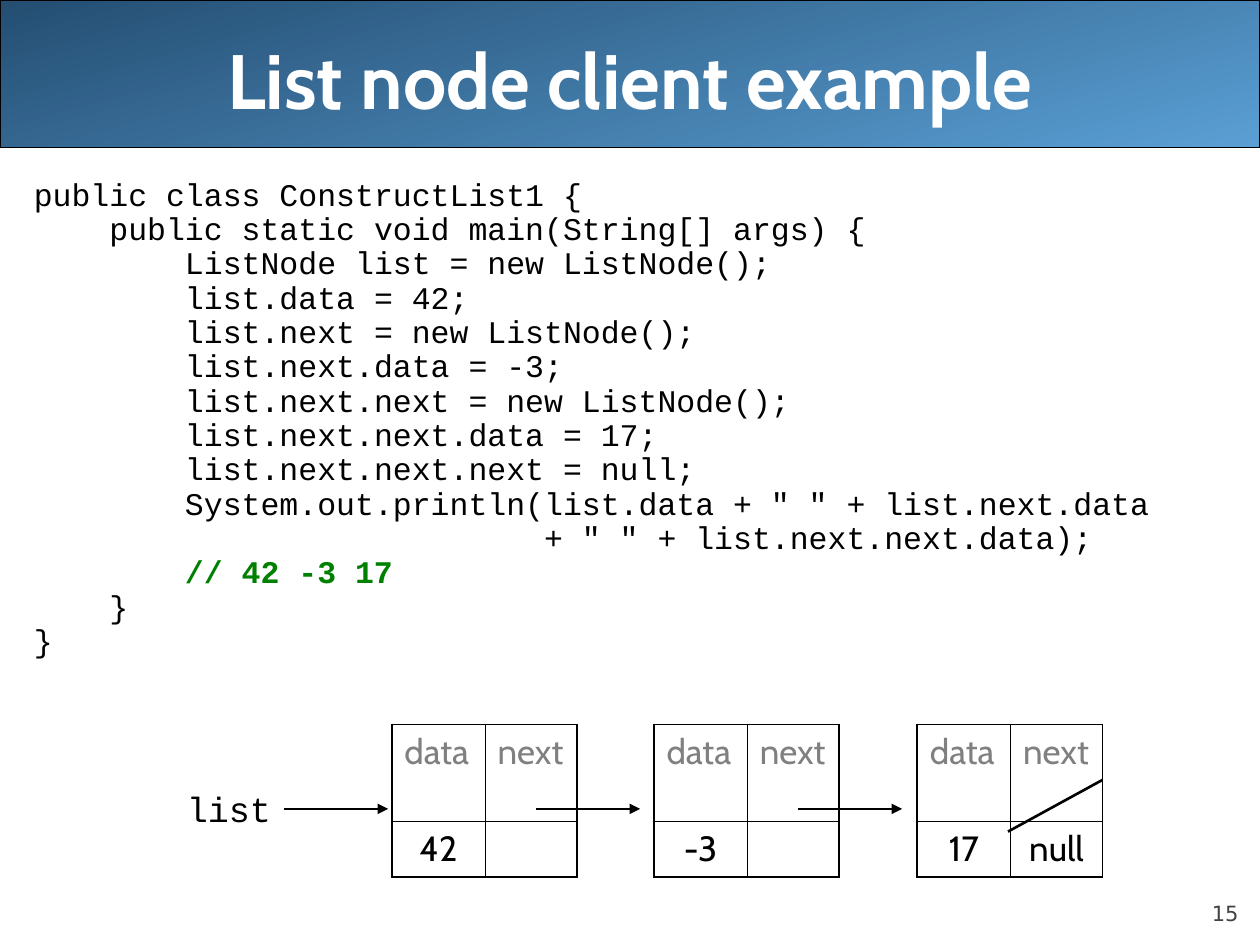
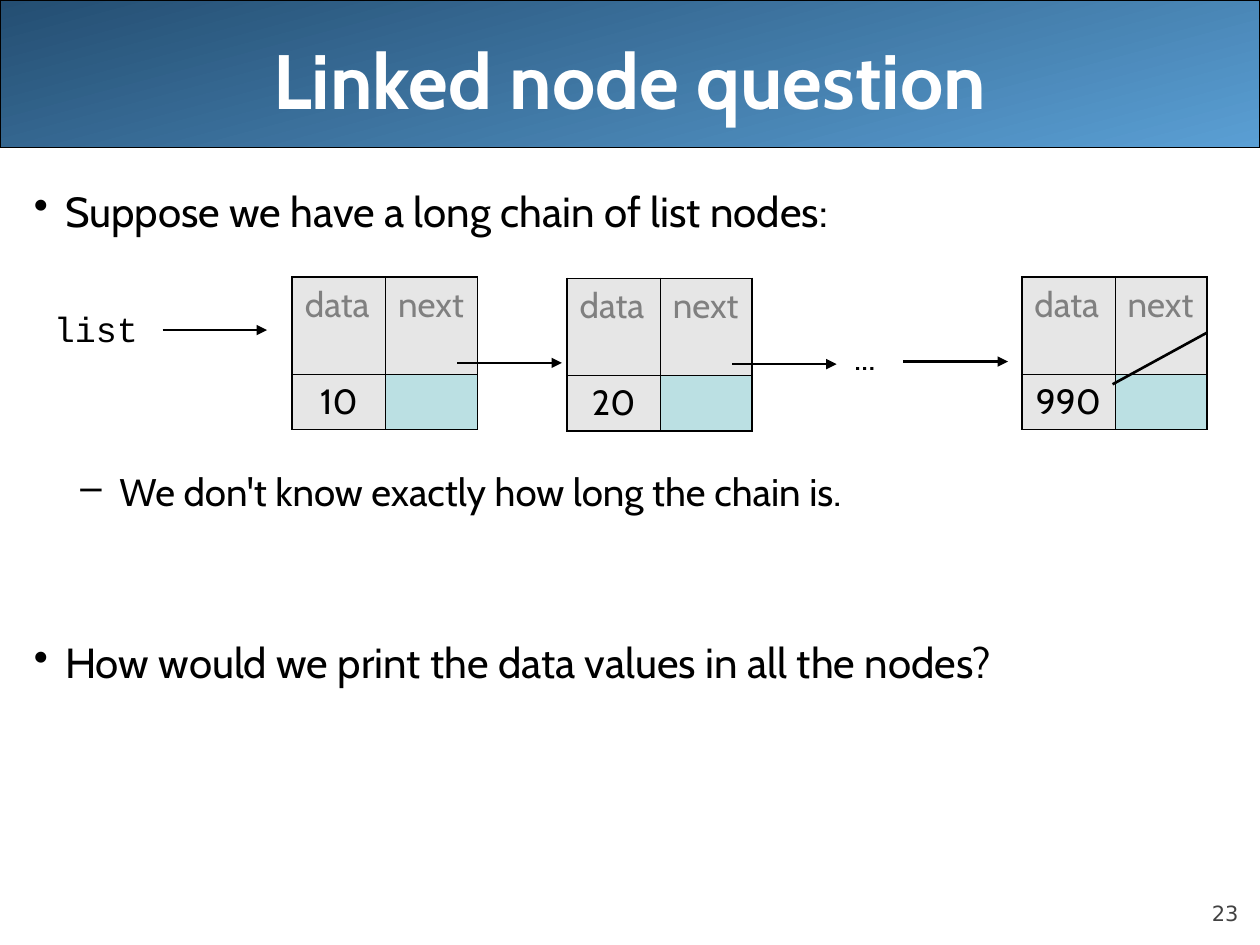
import pptx
import pptx.dml.color
import pptx.enum.shapes
import pptx.enum.text
import pptx.oxml.xmlchemy
import pptx.util
from lxml import etree
from pptx.oxml.ns import qn

Inches = pptx.util.Inches
Pt = pptx.util.Pt
RGB = pptx.dml.color.RGBColor
ALIGN = pptx.enum.text.PP_ALIGN
ANCHOR = pptx.enum.text.MSO_ANCHOR

BLACK = RGB(0x00, 0x00, 0x00)
WHITE = RGB(0xFF, 0xFF, 0xFF)
BAND_DARK = RGB(0x24, 0x4E, 0x72)
BAND_LIGHT = RGB(0x5A, 0x9F, 0xD4)
PAGE_GREY = RGB(0x42, 0x42, 0x42)
HEAD_GREY = RGB(0x80, 0x80, 0x80)
COMMENT_GREEN = RGB(0x00, 0x80, 0x00)
CELL_GREY = RGB(0xE6, 0xE6, 0xE6)
CELL_TEAL = RGB(0xBB, 0xE0, 0xE3)

TITLE = dict(name="Cabin", size=Pt(44), bold=True)
CODE = dict(name="Courier New", size=Pt(18))
LABEL = dict(name="Courier New", size=Pt(20))
NODE = dict(name="Cabin", size=Pt(20))
PAGE = dict(name="DejaVu Sans", size=Pt(12))

BODY_BOX = (0.17, 1.42, 9.83, 5.67)
NODE_COLS, NODE_ROWS = (0.74, 0.73), (0.77, 0.44)
NODE_W, NODE_H = sum(NODE_COLS), sum(NODE_ROWS)
ARROW_W = 0.83

CODE_LINES = [
    "public class ConstructList1 {",
    "    public static void main(String[] args) {",
    "        ListNode list = new ListNode();",
    "        list.data = 42;",
    "        list.next = new ListNode();",
    "        list.next.data = -3;",
    "        list.next.next = new ListNode();",
    "        list.next.next.data = 17;",
    "        list.next.next.next = null;",
    '        System.out.println(list.data + " " + list.next.data',
    '                           + " " + list.next.next.data);',
    "        // 42 -3 17",
    "    }",
    "}",
]

# text, bullet, left margin, hanging indent, size, space before
BULLETS = [
    ("Suppose we have a long chain of list nodes:", "•", 0.25, 0.25, 24, 0),
    ("We don't know exactly how long the chain is.", "–", 0.68, 0.31, 22, 133),
    ("How would we print the data values in all the nodes?", "•", 0.25, 0.25, 24, 70),
]

# Nodes: left, top, data, next. Arrows: left, y. Labels: text, box, font, alignment.
SHORT_CHAIN = dict(
    nodes=[(3.11, 5.75, "42", ""), (5.19, 5.75, "-3", ""), (7.28, 5.75, "17", "null")],
    fills=(None, None),
    arrows=[(2.25, 6.42), (4.25, 6.42), (6.33, 6.42)],
    labels=[("list", (1.38, 6.2, 0.87, 0.44), LABEL, ALIGN.RIGHT)],
)
LONG_CHAIN = dict(
    nodes=[(2.32, 2.2, "10", ""), (4.5, 2.21, "20", ""), (8.11, 2.2, "990", "")],
    fills=(CELL_GREY, CELL_TEAL),
    arrows=[(1.29, 2.62), (3.63, 2.88), (5.81, 2.89), (7.17, 2.87)],
    labels=[("list", (0.33, 2.39, 0.87, 0.44), LABEL, ALIGN.LEFT),
            ("...", (6.68, 2.61, 0.42, 0.44), NODE, ALIGN.LEFT)],
)


def style(font, values, color=BLACK):
    for key, value in values.items():
        setattr(font, key, value)
    font.color.rgb = color


def add_run(p, text, values, color=BLACK):
    r = p.add_run()
    r.text = text
    style(r.font, values, color)
    return r


def add_box(s, box, wrap=True):
    tf = s.shapes.add_textbox(*map(Inches, box)).text_frame
    tf.word_wrap = wrap
    return tf


def paragraphs(tf, items):
    """Yield a paragraph with each item, starting with the one already there."""
    for i, item in enumerate(items):
        yield (tf.add_paragraph() if i else tf.paragraphs[0]), item


def add_slide(prs, title, number):
    s = prs.slides.add_slide(prs.slide_layouts[5])
    band = s.shapes.add_shape(pptx.enum.shapes.MSO_SHAPE.ROUNDED_RECTANGLE,
                              0, 0, Inches(10), Inches(1.17))
    band.adjustments[0] = 0
    band.shadow.inherit = False
    band.fill.gradient()
    band.fill.gradient_angle = 285
    for stop, color in zip(band.fill.gradient_stops, (BAND_DARK, BAND_LIGHT)):
        stop.color.rgb = color
    band.line.color.rgb = BLACK
    band.line.width = Pt(0.75)

    sp = s.shapes.title
    sp._element.addprevious(band._element)
    sp.left, sp.top, sp.width, sp.height = map(Inches, (0.5, 0, 9, 1.25))
    tf = sp.text_frame
    tf.vertical_anchor = ANCHOR.MIDDLE
    tf.paragraphs[0].alignment = ALIGN.CENTER
    add_run(tf.paragraphs[0], title, TITLE, WHITE)

    tf = add_box(s, (9, 6.95, 0.83, 0.4))
    tf.margin_left = tf.margin_right = tf.margin_top = tf.margin_bottom = 0
    tf.vertical_anchor = ANCHOR.BOTTOM
    tf.paragraphs[0].alignment = ALIGN.RIGHT
    add_run(tf.paragraphs[0], str(number), PAGE, PAGE_GREY)
    return s


def add_code(s):
    for p, line in paragraphs(add_box(s, BODY_BOX), CODE_LINES):
        p.line_spacing = 0.7
        p.space_before = Pt(0 if line == CODE_LINES[0] else 4.5)
        code, mark, comment = line.partition("//")
        add_run(p, code, CODE)
        if mark:
            add_run(p, mark + comment, dict(CODE, bold=True), COMMENT_GREEN)


def add_bullets(s):
    for p, (text, bullet, margin, hang, size, before) in paragraphs(add_box(s, BODY_BOX), BULLETS):
        pPr = p._p.get_or_add_pPr()
        pPr.set("marL", str(Inches(margin)))
        pPr.set("indent", str(-Inches(hang)))
        etree.SubElement(pPr, qn("a:buChar")).set("char", bullet)
        p.space_before = Pt(before)
        add_run(p, text, dict(name="Cabin", size=Pt(size)))


def add_line(s, start, end, arrow=False):
    line = s.shapes.add_connector(pptx.enum.shapes.MSO_CONNECTOR.STRAIGHT,
                                  *map(Inches, start + end))
    line.line.color.rgb = BLACK
    line.line.width = Pt(1.5)
    if arrow:
        etree.SubElement(line.line._get_or_add_ln(), qn("a:tailEnd")).set("type", "triangle")
    etree.SubElement(line._element.spPr, qn("a:effectLst"))


def set_borders(cell, row, col):
    """Thick lines on the outer edge of a node, thin lines inside."""
    tcPr = cell._tc.get_or_add_tcPr()
    outer = dict(L=col == 0, R=col == 1, T=row == 0, B=row == 1)
    for i, (side, thick) in enumerate(outer.items()):
        ln = etree.Element(qn("a:ln" + side), w=str(Pt(1.08 if thick else 0.45)))
        fill = etree.SubElement(ln, qn("a:solidFill"))
        etree.SubElement(fill, qn("a:srgbClr")).set("val", str(BLACK))
        tcPr.insert(i, ln)


def add_node(s, left, top, data, following, fills):
    table = s.shapes.add_table(2, 2, *map(Inches, (left, top, NODE_W, NODE_H))).table
    table.first_row = table.horz_banding = False
    for i in range(2):
        table.columns[i].width = Inches(NODE_COLS[i])
        table.rows[i].height = Inches(NODE_ROWS[i])
    for row, texts in enumerate((("data", "next"), (data, following))):
        for col, text in enumerate(texts):
            cell = table.cell(row, col)
            fill = fills[row * col]
            if fill is None:
                cell.fill.background()
            else:
                cell.fill.solid()
                cell.fill.fore_color.rgb = fill
            set_borders(cell, row, col)
            if text:
                p = cell.text_frame.paragraphs[0]
                p.alignment = ALIGN.CENTER if row else ALIGN.LEFT
                add_run(p, text, NODE, BLACK if row else HEAD_GREY)


def add_chain(s, nodes, fills, arrows, labels):
    for node in nodes:
        add_node(s, *node, fills)
    for x, y in arrows:
        add_line(s, (x, y), (x + ARROW_W, y), arrow=True)
    left, top = nodes[-1][:2]
    right = left + NODE_W
    add_line(s, (right, top + 0.44), (right - 0.75, top + 0.85))
    for text, box, font, alignment in labels:
        p = add_box(s, box, wrap=False).paragraphs[0]
        p.alignment = alignment
        add_run(p, text, font)


def main():
    prs = pptx.Presentation()
    prs.slide_width, prs.slide_height = Inches(10), Inches(7.5)

    s = add_slide(prs, "List node client example", 15)
    add_code(s)
    add_chain(s, **SHORT_CHAIN)

    s = add_slide(prs, "Linked node question", 23)
    add_bullets(s)
    add_chain(s, **LONG_CHAIN)

    prs.save("out.pptx")


if __name__ == "__main__":
    main()
